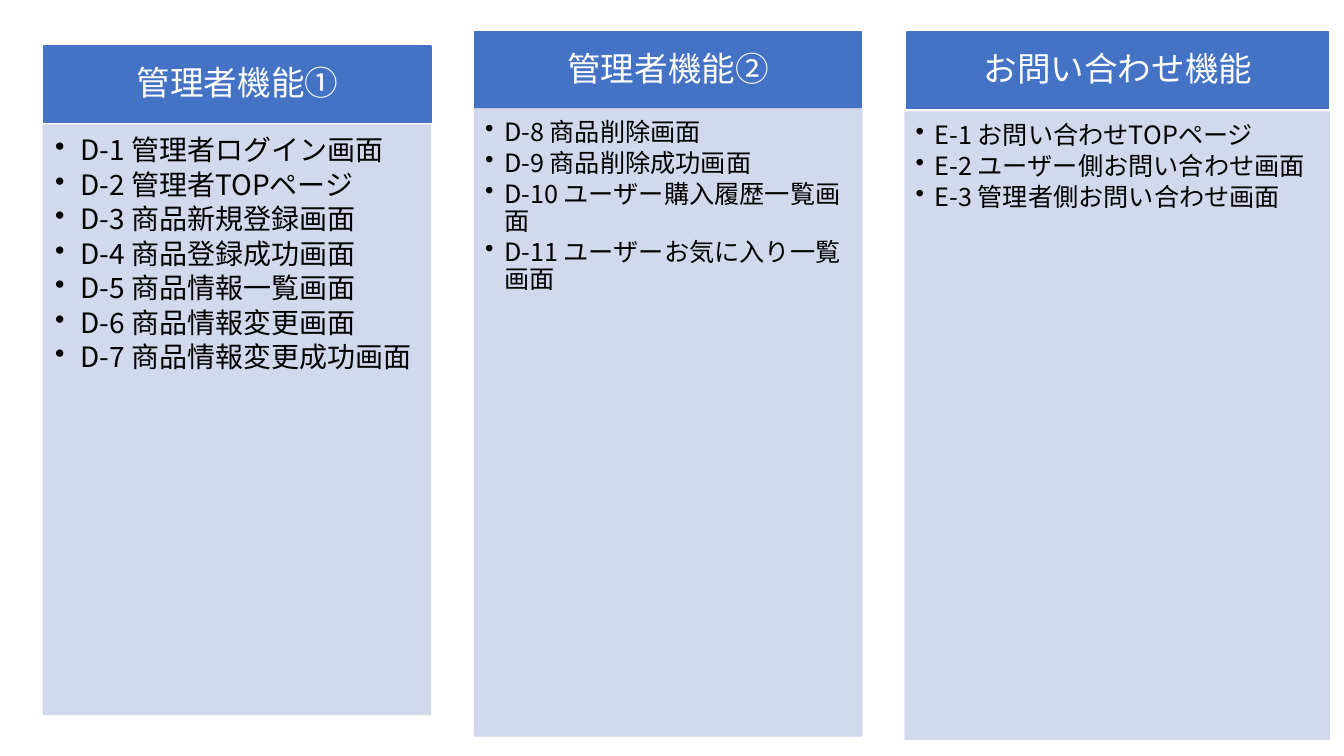
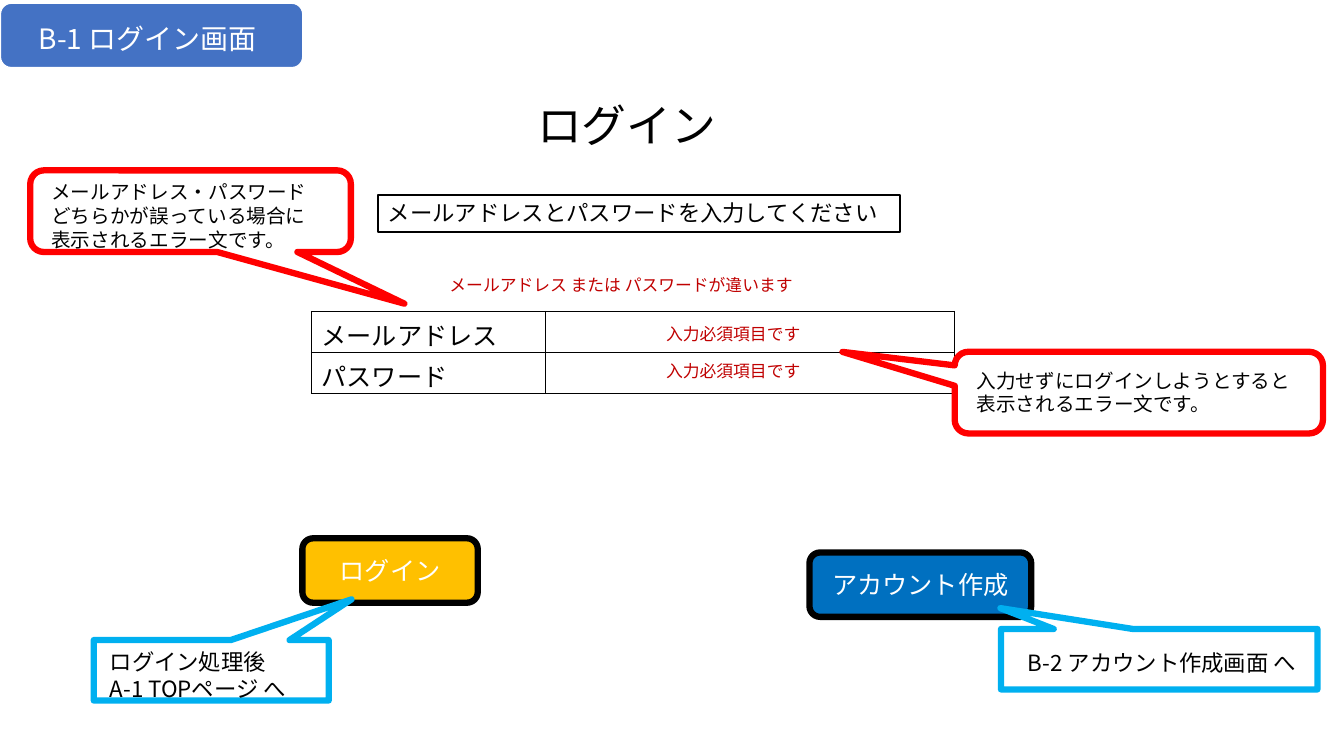
from lxml.etree import SubElement
from pptx import Presentation
from pptx.dml.color import RGBColor
from pptx.enum.shapes import MSO_SHAPE
from pptx.enum.text import MSO_ANCHOR, PP_ALIGN
from pptx.oxml.ns import qn
from pptx.util import Pt

FONT = "Noto Sans CJK JP"
COLORS = {
    "band": "4472C4", "panel": "CFD5EA", "white": "FFFFFF", "black": "000000",
    "error": "C00000", "error_note": "FF0000", "link_note": "00B0F0",
    "login": "FFC000", "signup": "0070C0",
}
INSETS = (7.2, 3.6, 7.2, 3.6)
CARDS = [
    ((31.5, 33, 276.5, 54.7), (31, 89.3, 276.5, 421), "管理者機能①", 20, 18, [
        "D-1 管理者ログイン画面", "D-2 管理者TOPページ", "D-3 商品新規登録画面",
        "D-4 商品登録成功画面", "D-5 商品情報一覧画面", "D-6 商品情報変更画面",
        "D-7 商品情報変更成功画面"]),
    ((339, 23, 276.5, 54.7), (339, 77.8, 276.5, 448), "管理者機能②", 18, 13.5, [
        "D-8 商品削除画面", "D-9 商品削除成功画面",
        "D-10 ユーザー購入履歴一覧画面", "D-11 ユーザーお気に入り一覧画面"]),
    ((648, 23, 301, 54.7), (646.5, 80, 303, 448), "お問い合わせ機能", 18, 13.5, [
        "E-1 お問い合わせTOPページ", "E-2 ユーザー側お問い合わせ画面",
        "E-3 管理者側お問い合わせ画面"]),
]


def rgb(name):
    """Return the named colour."""
    return RGBColor.from_string(COLORS[name])


def add_bullet(paragraph, indent):
    """Give a paragraph a hanging round bullet."""
    props = paragraph._p.get_or_add_pPr()
    props.set("marL", str(Pt(indent)))
    props.set("indent", str(-Pt(indent)))
    SubElement(props, qn("a:buChar"), char="•")


def write(frame, lines, size, color="black", align=PP_ALIGN.LEFT,
          anchor=MSO_ANCHOR.TOP, insets=INSETS, bullet=0, spacing=None, after=0):
    """Fill a text frame with one paragraph for each line."""
    frame.word_wrap = True
    frame.vertical_anchor = anchor
    (frame.margin_left, frame.margin_top,
     frame.margin_right, frame.margin_bottom) = map(Pt, insets)
    for index, line in enumerate(lines):
        paragraph = frame.paragraphs[0] if index == 0 else frame.add_paragraph()
        if bullet:
            add_bullet(paragraph, bullet)
        paragraph.alignment = align
        if spacing:
            paragraph.line_spacing = spacing
        paragraph.space_after = Pt(after)
        add_run(paragraph, line, size, color)


def add_run(paragraph, words, size, color):
    """Append a styled run for Latin and Japanese letters."""
    run = paragraph.add_run()
    run.text = words
    run.font.size = Pt(size)
    run.font.name = FONT
    run.font.color.rgb = rgb(color)
    SubElement(run._r.get_or_add_rPr(), qn("a:ea"), typeface=FONT)


def add_box(slide, box, fill, line, width=1, kind=MSO_SHAPE.RECTANGLE):
    """Draw a flat outlined shape."""
    shape = slide.shapes.add_shape(kind, *map(Pt, box))
    shape.shadow.inherit = False
    if fill:
        shape.fill.solid()
        shape.fill.fore_color.rgb = rgb(fill)
    else:
        shape.fill.background()
    shape.line.color.rgb = rgb(line)
    shape.line.width = Pt(width)
    return shape


def add_label(slide, box, lines, size, color="black", **style):
    """Place free text in a box."""
    label = slide.shapes.add_textbox(*map(Pt, box))
    write(label.text_frame, lines, size, color, **style)


def add_card(slide, head_box, body_box, heading, size, indent, screens):
    """Draw a heading band and its panel of screen names."""
    band = add_box(slide, head_box, "band", "band")
    write(band.text_frame, [heading], 24, "white", PP_ALIGN.CENTER,
          MSO_ANCHOR.MIDDLE, (13.7, 7.8, 13.7, 7.8), spacing=0.9, after=8.4)
    panel = add_box(slide, body_box, "panel", "panel")
    for color in panel._element.spPr.iter(qn("a:srgbClr")):
        SubElement(color, qn("a:alpha"), val="90000")
    insets = [size * part for part in (0.42, 0.42, 0.56, 0.63)]
    write(panel.text_frame, screens, size, insets=insets, bullet=indent,
          spacing=0.9, after=size * 0.15)


def add_callout(slide, box, kind, tip, line, text_box, lines, size):
    """Draw a callout whose text box is offset from its corner."""
    bubble = add_box(slide, box, "white", line, 4.5, kind)
    bubble.adjustments[0], bubble.adjustments[1] = tip
    dx, dy, width, height = text_box
    add_label(slide, (box[0] + dx, box[1] + dy, width, height), lines, size)


def add_button(slide, box, caption, fill):
    """Draw a button with a heavy outline."""
    button = add_box(slide, box, fill, "black", 4.5,
                     MSO_SHAPE.FLOWCHART_ALTERNATE_PROCESS)
    write(button.text_frame, [caption], 18, "white", PP_ALIGN.CENTER,
          MSO_ANCHOR.MIDDLE)


def add_border(cell):
    """Outline a cell with thin black lines."""
    props = cell._tc.get_or_add_tcPr()
    for side in ("a:lnL", "a:lnR", "a:lnT", "a:lnB"):
        edge = SubElement(props, qn(side), w=str(Pt(1)))
        SubElement(SubElement(edge, qn("a:solidFill")), qn("a:srgbClr"),
                   val=COLORS["black"])


def add_form(slide, box, captions, caption_width):
    """Draw the input table with captions on the left."""
    form = slide.shapes.add_table(len(captions), 2, *map(Pt, box)).table
    form.first_row = form.horz_banding = False
    form.columns[0].width = Pt(caption_width)
    form.columns[1].width = Pt(box[2] - caption_width)
    for row, caption in enumerate(captions):
        write_caption = form.cell(row, 0).text_frame.paragraphs[0]
        add_run(write_caption, caption, 18, "black")
        for column in range(2):
            add_border(form.cell(row, column))
            form.cell(row, column).fill.background()


def build_screen_list(slide):
    """Lay out the cards of screen names."""
    for card in CARDS:
        add_card(slide, *card)


def build_login(slide):
    """Lay out the login screen and its notes."""
    tag = add_box(slide, (0.3, 2.3, 216, 46), "band", "white",
                  kind=MSO_SHAPE.ROUNDED_RECTANGLE)
    tag.adjustments[0] = 0.17
    add_label(slide, (21.6, 6.5, 173.5, 41.8), ["B-1 ログイン画面"], 20, "white",
              anchor=MSO_ANCHOR.MIDDLE, insets=(6, 6, 6, 6))
    add_label(slide, (376.6, 66.2, 150.5, 46), ["ログイン"], 32)
    prompt = add_box(slide, (270, 139, 373, 26.6), None, "black", 1.5)
    write(prompt.text_frame, ["メールアドレスとパスワードを入力してください"], 16)

    add_form(slide, (222.5, 222.5, 459.4, 58.4), ["メールアドレス", "パスワード"], 167)
    add_label(slide, (314, 193, 264.2, 21.6),
              ["メールアドレス または パスワードが違います"], 12, "error")
    for row in range(2):
        add_label(slide, (468.7, 227.5 + row * 26.6, 117.4, 21.6),
                  ["入力必須項目です"], 12, "error")

    rounded = MSO_SHAPE.ROUNDED_RECTANGULAR_CALLOUT
    add_callout(slide, (682, 251.3, 263, 58.3), rounded, (-0.805, -0.499),
                "error_note", (8.5, 8.6, 244.8, 41),
                ["入力せずにログインしようとすると表示されるエラー文です。"], 14)
    add_callout(slide, (21.6, 121.7, 229, 58.3), rounded, (0.667, 1.133),
                "error_note", (8, 3.6, 213, 58.3),
                ["メールアドレス・パスワード", "どちらかが誤っている場合に",
                 "表示されるエラー文です。"], 14)

    add_button(slide, (216, 384.5, 125.3, 46), "ログイン", "login")
    add_button(slide, (578.2, 394.6, 158.4, 46), "アカウント作成", "signup")
    square = MSO_SHAPE.RECTANGULAR_CALLOUT
    add_callout(slide, (715, 449.3, 226, 43.2), square, (-0.502, -0.845),
                "link_note", (12.2, 10.8, 227.5, 46),
                ["B-2 アカウント作成画面 へ"], 16)
    add_callout(slide, (67, 457.2, 167.8, 43.2), square, (0.597, -1.173),
                "link_note", (4.3, 2.2, 169.2, 65.5),
                ["ログイン処理後", "A-1 TOPページ へ"], 16)


def main():
    """Build and save the presentation."""
    deck = Presentation()
    deck.slide_width, deck.slide_height = Pt(960), Pt(540)
    for build in (build_screen_list, build_login):
        build(deck.slides.add_slide(deck.slide_layouts[6]))
    deck.save("out.pptx")


if __name__ == "__main__":
    main()
